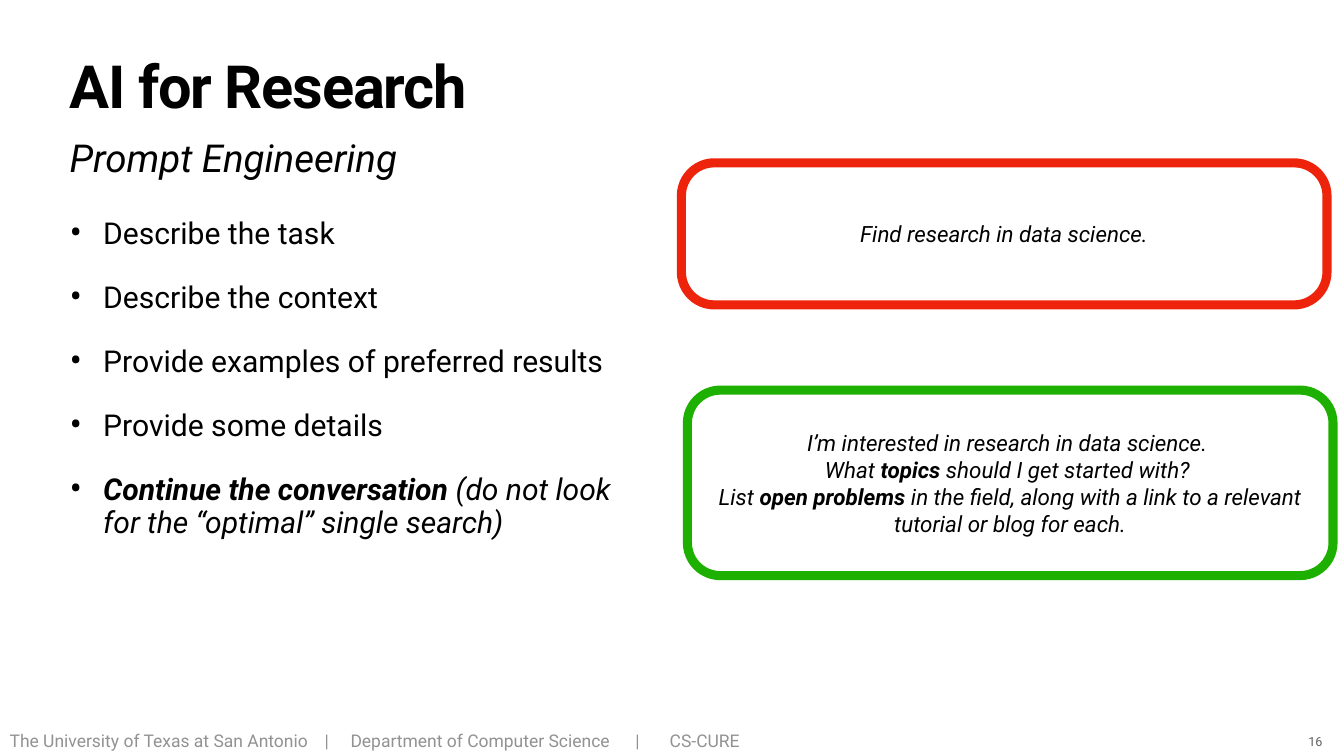
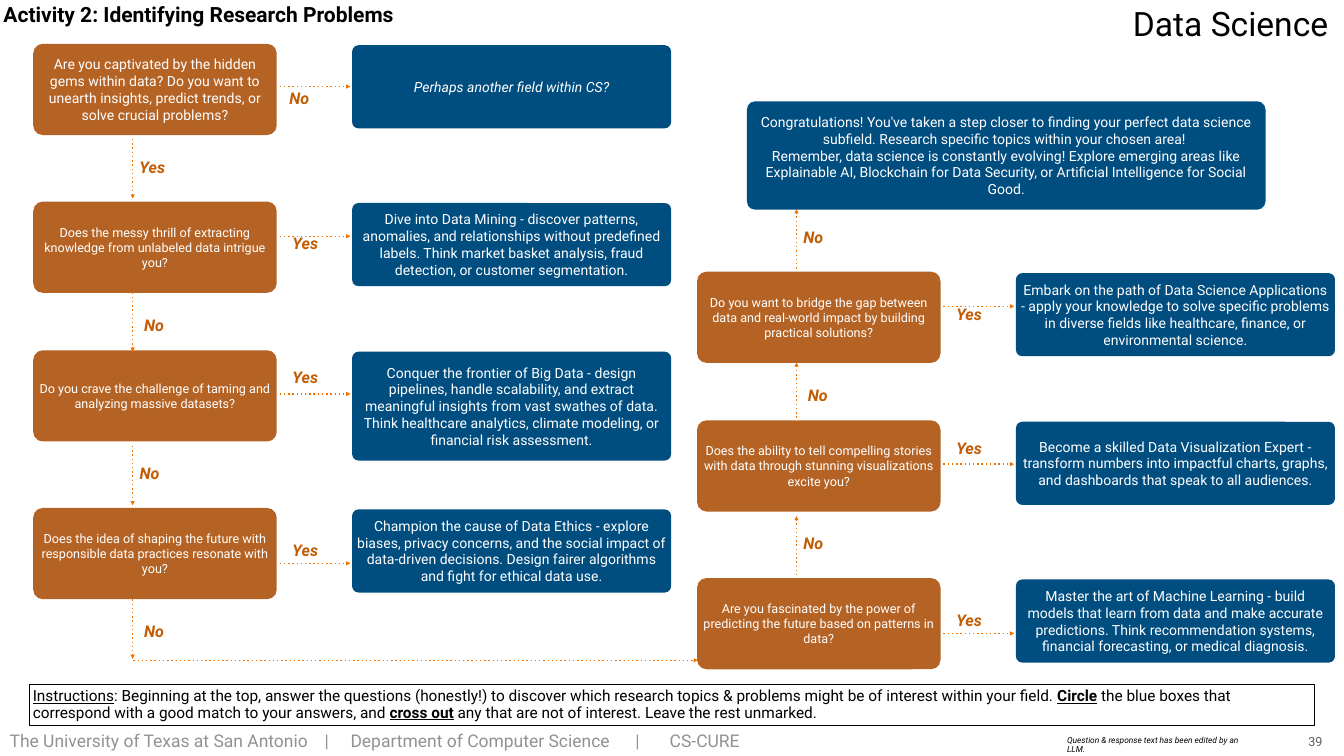
from lxml import etree
from pptx import Presentation
from pptx.dml.color import RGBColor
from pptx.enum.shapes import MSO_CONNECTOR, MSO_SHAPE
from pptx.enum.text import MSO_ANCHOR, PP_ALIGN
from pptx.oxml.ns import qn
from pptx.util import Pt

ROUND, RECT = MSO_SHAPE.ROUNDED_RECTANGLE, MSO_SHAPE.RECTANGLE
STRAIGHT = MSO_CONNECTOR.STRAIGHT
LEFT, CENTER = PP_ALIGN.LEFT, PP_ALIGN.CENTER
TOP, MIDDLE, BOTTOM = MSO_ANCHOR.TOP, MSO_ANCHOR.MIDDLE, MSO_ANCHOR.BOTTOM

BLACK = RGBColor(0x00, 0x00, 0x00)
WHITE = RGBColor(0xFF, 0xFF, 0xFF)
GRAY = RGBColor(0x92, 0x92, 0x92)
SLATE = RGBColor(0x5E, 0x5E, 0x5E)
RED = RGBColor(0xEE, 0x23, 0x0C)
GREEN = RGBColor(0x1E, 0xB0, 0x01)
BROWN = RGBColor(0xB5, 0x63, 0x25)
BLUE = RGBColor(0x00, 0x4D, 0x80)
RUST = RGBColor(0xC2, 0x5D, 0x06)
ORANGE = RGBColor(0xF2, 0x71, 0x00)

FONT = "Roboto"
WIDTH, HEIGHT = 1920, 1080
INSET = 4.3

# Flow chart rows: top, x and y of the branch label, y of the branch arrow
ROWS = [(0, 361.5, 62, 61), (225.4, 366, 44, 49.5),
        (437.8, 366, 23, 62.5), (663.1, 366, 44.5, 79)]
ASK_W, ASK_H = 347.8, 130.3
REPLY_X, REPLY_W, REPLY_H = 455.5, 455.8, 118.8
STEM_X, STEM_Y, STEM_H, STEM_GAP = 142, 136, 85, 219.2

TIPS = ["Describe the task",
        "Describe the context",
        "Provide examples of preferred results",
        "Provide some details",
        [("Continue the conversation ", "bi"),
         ("(do not look for the “optimal” single search)", "i")]]

VAGUE = ["Find research in data science."]
CLEAR = ["I’m interested in research in data science. ",
         ["What ", ("topics", "bi"), " should I get started with? "],
         ["List", (" open problems", "bi"),
          " in the field, along with a link to a relevant tutorial or blog for each."]]

# Each step: question, reply, and what differs in the look of the two
LEFT_STEPS = [
    ("Are you captivated by the hidden gems within data? Do you want to unearth "
     "insights, predict trends, or solve crucial problems?",
     "Perhaps another field within CS?", {"size": 20, "style": "i"}),
    ("Does the messy thrill of extracting knowledge from unlabeled data intrigue you?",
     "Dive into Data Mining - discover patterns, anomalies, and relationships without "
     "predefined labels. Think market basket analysis, fraud detection, or customer "
     "segmentation.", {}),
    ("Do you crave the challenge of taming and analyzing massive datasets?",
     "Conquer the frontier of Big Data - design pipelines, handle scalability, and "
     "extract meaningful insights from vast swathes of data. Think healthcare "
     "analytics, climate modeling, or financial risk assessment.", {"high": 155.5}),
    ("Does the idea of shaping the future with responsible data practices resonate "
     "with you?",
     "Champion the cause of Data Ethics - explore biases, privacy concerns, and the "
     "social impact of data-driven decisions. Design fairer algorithms and fight for "
     "ethical data use.", {}),
]
RIGHT_STEPS = [
    ("Do you want to bridge the gap between data and real-world impact by building "
     "practical solutions?",
     "Embark on the path of Data Science Applications - apply your knowledge to solve "
     "specific problems in diverse fields like healthcare, finance, or environmental "
     "science.", {}),
    ("Does the ability to tell compelling stories with data through stunning "
     "visualizations excite you?",
     "Become a skilled Data Visualization Expert - transform numbers into impactful "
     "charts, graphs, and dashboards that speak to all audiences.", {}),
    ("Are you fascinated by the power of predicting the future based on patterns in "
     "data?",
     "Master the art of Machine Learning - build models that learn from data and make "
     "accurate predictions. Think recommendation systems, financial forecasting, or "
     "medical diagnosis.", {}),
]
FINISH = ["Congratulations! You've taken a step closer to finding your perfect data "
          "science subfield. Research specific topics within your chosen area! ",
          "Remember, data science is constantly evolving! Explore emerging areas like "
          "Explainable AI, Blockchain for Data Security, or Artificial Intelligence "
          "for Social Good."]
RULES = [[("Instructions", "u"),
          ": Beginning at the top, answer the questions (honestly!) to discover which "
          "research topics & problems might be of interest within your field. ",
          ("Circle", "bu"),
          " the blue boxes that correspond with a good match to your answers, and ",
          ("cross out", "bu"),
          " any that are not of interest. Leave the rest unmarked."]]


def add(parent, tag, **attrs):
    return etree.SubElement(parent, qn(tag), {k: str(v) for k, v in attrs.items()})


def write(shape, paras, size=20, color=BLACK, style="", align=LEFT, anchor=MIDDLE,
          wrap=True, lead=None, gap=0, track=0, bullet=0, tabs=()):
    """Fill a shape; a paragraph is a string or a list of runs, a run is a string
    or (text, style), and a style holds any of the letters b, i and u."""
    frame = shape.text_frame
    frame.word_wrap, frame.vertical_anchor = wrap, anchor
    frame.margin_left = frame.margin_right = Pt(INSET)
    frame.margin_top = frame.margin_bottom = Pt(INSET)
    for i, runs in enumerate(paras):
        para = frame.add_paragraph() if i else frame.paragraphs[0]
        props = para._p.get_or_add_pPr()
        if bullet:
            props.set("marL", str(Pt(bullet)))
            props.set("indent", str(-Pt(bullet)))
            add(props, "a:buSzPct", val=123000)
            add(props, "a:buFont", typeface=FONT)
            add(props, "a:buChar", char="•")
        if tabs:
            stops = add(props, "a:tabLst")
            for stop in tabs:
                add(stops, "a:tab", pos=Pt(stop), algn="l")
        para.alignment = align
        if lead:
            para.line_spacing = lead
        if i and gap:
            para.space_before = Pt(gap)
        for part in [runs] if isinstance(runs, str) else runs:
            words, look = (part, style) if isinstance(part, str) else part
            run = para.add_run()
            run.text = words
            font = run.font
            font.name, font.size, font.color.rgb = FONT, Pt(size), color
            font.bold, font.italic, font.underline = (c in look for c in "biu")
            if track:
                run._r.get_or_add_rPr().set("spc", str(round(track * 100)))


def label(slide, box, paras, **form):
    write(slide.shapes.add_textbox(*map(Pt, box)), paras, **form)


def card(slide, box, paras, fill=None, line=None, weight=1, radius=0, **form):
    shape = slide.shapes.add_shape(ROUND if radius else RECT, *map(Pt, box))
    shape.shadow.inherit = False
    if radius:
        shape.adjustments[0] = radius / min(box[2:])
    if fill is None:
        shape.fill.background()
    else:
        shape.fill.solid()
        shape.fill.fore_color.rgb = fill
    if line is None:
        shape.line.fill.background()
    else:
        shape.line.color.rgb, shape.line.width = line, Pt(weight)
    write(shape, paras, **form)


def arrow(slide, x1, y1, x2, y2):
    """Dotted line with its head at the second point."""
    link = slide.shapes.add_connector(STRAIGHT, *map(Pt, (x1, y1, x2, y2)))
    link.line.color.rgb, link.line.width = ORANGE, Pt(2)
    stroke = link.line._get_or_add_ln()
    add(add(stroke, "a:custDash"), "a:ds", d=100000, sp=200000)
    add(stroke, "a:tailEnd", type="triangle")
    add(link._element.spPr, "a:effectLst")


def footer(slide, page):
    label(slide, (9.4, 1040.4, 1834.6, 37.4),
          ["The University of Texas at San Antonio\t|\tDepartment of Computer Science"
           "\t|\tCS-CURE"],
          size=25, color=GRAY, lead=0.9, tabs=(450, 487, 894, 943))
    label(slide, (1859.2, 1044.7, 40, 29.5), [str(page)], size=18, color=SLATE,
          align=CENTER, anchor=BOTTOM, wrap=False)


def heading(slide, x, y, wide, title, sub):
    label(slide, (x, y, wide, 113), [title], size=85, style="b", anchor=TOP,
          lead=0.8, track=-1.7)
    label(slide, (x, y + 101.5, wide, 73.4), [sub], size=55, style="i", anchor=TOP)


def choice(slide, x, y, word):
    label(slide, (x, y, 52.6 if word == "Yes" else 39.6, 35.3), [word], size=23,
          color=RUST, style="bi", wrap=False, lead=0.9)


def reply(slide, box, paras, radius=9.15, **form):
    card(slide, box, paras, fill=BLUE, radius=radius, color=WHITE, align=CENTER,
         **form)


def branch(slide, x, y, row, step, word):
    """Question, labelled arrow to the right, and reply."""
    top, word_x, word_y, arrow_y = row
    ask, answer, look = step
    y += top
    card(slide, (x, y, ASK_W, ASK_H), [ask], fill=BROWN, radius=13.55,
         size=look.get("size", 18), color=WHITE, align=CENTER)
    reply(slide, (x + REPLY_X, y + 2, REPLY_W, look.get("high", REPLY_H)), [answer],
          style=look.get("style", ""))
    choice(slide, x + word_x, y + word_y, word)
    arrow(slide, x + 352, y + arrow_y, x + 453, y + arrow_y)


def stems(slide, x, y, words, up=False):
    """Labelled vertical arrows between the questions."""
    for i, word in enumerate(words):
        ends = [y + STEM_Y + i * STEM_GAP, y + STEM_Y + i * STEM_GAP + STEM_H]
        start, stop = reversed(ends) if up else ends
        arrow(slide, x + STEM_X, start, x + STEM_X, stop)
        choice(slide, x + 147.5 + i % 2 * 6.5, y + ROWS[i][0] + 160, word)


def flow(slide, x, y, rows, steps, words, stem_words, up=False):
    for row, step, word in zip(rows, steps, words):
        branch(slide, x, y, row, step, word)
    stems(slide, x, y, stem_words, up)


def prompt_slide(slide):
    footer(slide, 16)
    heading(slide, 95, 85, 1730, "AI for Research", "Prompt Engineering")
    label(slide, (95, 308, 828.7, 703.4), TIPS, size=43, anchor=TOP, lead=0.9,
          gap=45, bullet=48.2)
    for box, edge, paras in (((973.4, 232.6, 922.3, 203), RED, VAGUE),
                             ((982, 557.3, 922.3, 265), GREEN, CLEAR)):
        card(slide, box, paras, fill=WHITE, line=edge, weight=13, radius=47,
             size=32, style="i", align=CENTER)


def activity_slide(slide):
    footer(slide, 39)
    label(slide, (0.7, 0, 594.7, 43.9), ["Activity 2: Identifying Research Problems"],
          size=30, style="b", lead=0.9)
    label(slide, (1614.2, 5, 294.5, 63.4), ["Data Science"], size=48, lead=0.9)
    flow(slide, 47.5, 62.6, ROWS, LEFT_STEPS, ["No"] + ["Yes"] * 3,
         ["Yes"] + ["No"] * 3)
    flow(slide, 995.8, 162.7, ROWS[1:], RIGHT_STEPS, ["Yes"] * 3, ["No"] * 3, up=True)
    arrow(slide, 190.5, 943.2, 997, 943.2)
    reply(slide, (1067, 144.7, 740.9, 154.8), FINISH, radius=11.9)
    label(slide, (1520, 1053.4, 277.2, 22.3),
          ["Question & response text has been edited by an LLM."],
          size=12, style="i", lead=0.9)
    card(slide, (42.5, 977, 1834.6, 59.8), RULES, line=BLACK, size=22, lead=0.9)


def main():
    deck = Presentation()
    deck.slide_width, deck.slide_height = Pt(WIDTH), Pt(HEIGHT)
    for build in (prompt_slide, activity_slide):
        build(deck.slides.add_slide(deck.slide_layouts[6]))
    deck.save("out.pptx")


if __name__ == "__main__":
    main()
